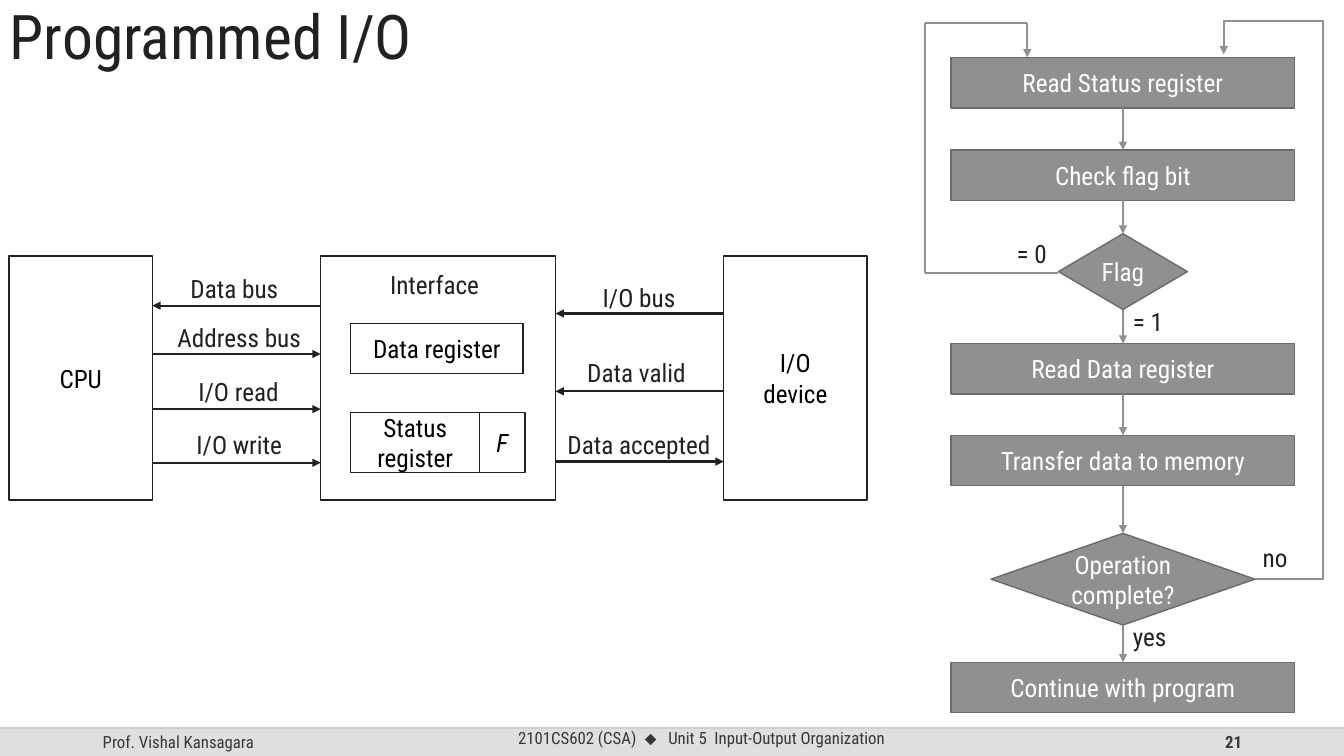
from dataclasses import dataclass
from itertools import pairwise

from lxml.etree import SubElement
from pptx import Presentation
from pptx.dml.color import RGBColor
from pptx.enum.shapes import MSO_CONNECTOR as Link, MSO_SHAPE as Preset
from pptx.enum.text import MSO_ANCHOR as Anchor, PP_ALIGN as Align
from pptx.oxml.ns import qn
from pptx.util import Cm, Pt

FONT = "Roboto Condensed"
COLORS = {
    "ink": "212121", "black": "000000", "white": "FFFFFF", "step": "909090",
    "step_edge": "6B6B6B", "band": "DFDFDF", "band_edge": "BFBFBF", "footer": "373737",
}
SLIDE_W, SLIDE_H = 33.87, 19.05
FOOTER_TOP = 18.34
FLOW_X = 28.3  # centre line of the flowchart


@dataclass(frozen=True)
class Block:
    text: str
    left: float
    top: float
    width: float
    height: float
    italic: bool = False


@dataclass(frozen=True)
class Label:
    text: str
    left: float
    top: float
    width: float
    height: float = 1.02


@dataclass(frozen=True)
class Signal:
    start: float
    end: float
    y: float
    label: Label


@dataclass(frozen=True)
class Step:
    text: str
    top: float
    width: float = 8.66
    height: float = 1.27
    preset: Preset = Preset.RECTANGLE

    @property
    def left(self) -> float:
        return FLOW_X - self.width / 2

    @property
    def bottom(self) -> float:
        return self.top + self.height

    @property
    def middle(self) -> float:
        return self.top + self.height / 2


CPU_RIGHT, INTERFACE_LEFT, INTERFACE_RIGHT, DEVICE_LEFT = 3.84, 8.08, 14.0, 18.24

BLOCKS = [
    Block("CPU", 0.23, 6.45, 3.61, 6.15),
    Block("", INTERFACE_LEFT, 6.45, 5.92, 6.15),
    Block("Data register", 8.84, 8.15, 4.34, 1.27),
    Block("Status register", 8.84, 10.39, 3.25, 1.52),
    Block("F", 12.09, 10.39, 1.14, 1.52, italic=True),
    Block("I/O\ndevice", DEVICE_LEFT, 6.45, 3.61, 6.15),
]
SIGNALS = [
    Signal(INTERFACE_LEFT, CPU_RIGHT, 7.7, Label("Data bus", 4.55, 6.76, 2.97, 1.07)),
    Signal(CPU_RIGHT, INTERFACE_LEFT, 8.92, Label("Address bus", 4.22, 8.0, 3.94, 1.12)),
    Signal(CPU_RIGHT, INTERFACE_LEFT, 10.31, Label("I/O read", 4.75, 9.37, 2.69)),
    Signal(CPU_RIGHT, INTERFACE_LEFT, 11.66, Label("I/O write", 4.7, 10.69, 2.97)),
    Signal(DEVICE_LEFT, INTERFACE_RIGHT, 7.9, Label("I/O bus", 14.94, 6.99, 2.44, 1.07)),
    Signal(DEVICE_LEFT, INTERFACE_RIGHT, 9.86, Label("Data valid", 14.55, 8.89, 3.25)),
    Signal(INTERFACE_RIGHT, DEVICE_LEFT, 11.63, Label("Data accepted", 14.05, 10.69, 4.34, 0.91)),
]
FLAG = Step("Flag", 5.89, 3.25, 1.91, Preset.DIAMOND)
COMPLETE = Step("Operation complete?", 13.44, 6.65, 2.31, Preset.DIAMOND)
STEPS = [
    Step("Read Status register", 1.45),
    Step("Check flag bit", 3.78),
    FLAG,
    Step("Read Data register", 8.66),
    Step("Transfer data to memory", 10.97),
    COMPLETE,
    Step("Continue with program", 16.69),
]
LABELS = [
    Label("Interface", 9.58, 6.65, 2.87),
    Label("= 0", 25.37, 5.89, 1.4),
    Label("= 1", FLOW_X, 7.59, 1.4),
    Label("yes", FLOW_X, 15.54, 1.4),
    Label("no", 31.57, 13.54, 1.4),
]


def rgb(color: str) -> RGBColor:
    return RGBColor.from_string(COLORS[color])


def write(frame, text: str, *, size: float = 18, color: str = "ink", align=Align.LEFT,
          anchor=Anchor.TOP, bold: bool = False, italic: bool = False, spacing: float = 1.0):
    frame.word_wrap = True
    frame.vertical_anchor = anchor
    frame.text = text
    for paragraph in frame.paragraphs:
        paragraph.alignment = align
        paragraph.line_spacing = spacing
        for run in paragraph.runs:
            run.font.name, run.font.size = FONT, Pt(size)
            run.font.bold, run.font.italic = bold, italic
            run.font.color.rgb = rgb(color)
    return frame


def add_text(slide, left: float, top: float, width: float, height: float, text: str, **style):
    box = slide.shapes.add_textbox(Cm(left), Cm(top), Cm(width), Cm(height))
    return write(box.text_frame, text, **style)


def add_box(slide, preset: Preset, left: float, top: float, width: float, height: float,
            fill: str = "", edge: str = ""):
    box = slide.shapes.add_shape(preset, Cm(left), Cm(top), Cm(width), Cm(height))
    box.shadow.inherit = False
    if fill:
        box.fill.solid()
        box.fill.fore_color.rgb = rgb(fill)
    else:
        box.fill.background()
    if edge:
        box.line.color.rgb = rgb(edge)
        box.line.width = Pt(1)
    else:
        box.line.fill.background()
    return box


def add_line(slide, x1: float, y1: float, x2: float, y2: float, color: str = "step",
             width: float = 1.5, arrow: bool = False, kind: Link = Link.STRAIGHT):
    line = slide.shapes.add_connector(kind, Cm(x1), Cm(y1), Cm(x2), Cm(y2))
    line.line.color.rgb = rgb(color)
    line.line.width = Pt(width)
    properties = line._element.spPr
    if arrow:
        SubElement(properties.find(qn("a:ln")), qn("a:tailEnd"), type="triangle")
    SubElement(properties, qn("a:effectLst"))
    return line


def add_footer(slide) -> None:
    height = SLIDE_H - FOOTER_TOP
    add_box(slide, Preset.RECTANGLE, 0, FOOTER_TOP, SLIDE_W, height, fill="band")
    style = dict(size=12, color="footer")
    add_text(slide, 2.34, FOOTER_TOP, 7.62, height, "Prof. Vishal Kansagara",
             anchor=Anchor.MIDDLE, **style)
    course = add_text(slide, 11.23, FOOTER_TOP, 12.9, 1.02, "2101CS602 (CSA)",
                      align=Align.CENTER, **style)
    course.margin_top = 0
    for text, font in ((" ⬥ ", "Arial"), ("Unit 5  Input-Output Organization", FONT)):
        run = course.paragraphs[0].add_run()
        run.text = text
        run.font.name, run.font.size = font, Pt(12)
        run.font.color.rgb = rgb("footer")
        if font != FONT:
            run.font._element.set("spc", "250")
    add_text(slide, 23.93, FOOTER_TOP, 7.62, height, "21", bold=True,
             align=Align.RIGHT, anchor=Anchor.MIDDLE, **style)
    rule = add_line(slide, 0, FOOTER_TOP, SLIDE_W, FOOTER_TOP, "band_edge", 1)
    tint = next(rule._element.iter(qn("a:srgbClr")))
    SubElement(tint, qn("a:alpha"), val="70000")


def add_interface_diagram(slide) -> None:
    for block in BLOCKS:
        box = add_box(slide, Preset.RECTANGLE, block.left, block.top, block.width,
                      block.height, edge="ink")
        write(box.text_frame, block.text, color="black", align=Align.CENTER,
              anchor=Anchor.MIDDLE, italic=block.italic)
    for signal in SIGNALS:
        add_line(slide, signal.start, signal.y, signal.end, signal.y, "ink", arrow=True)


def add_flowchart(slide) -> None:
    for step in STEPS:
        box = add_box(slide, step.preset, step.left, step.top, step.width, step.height,
                      fill="step", edge="step_edge")
        write(box.text_frame, step.text, color="white", align=Align.CENTER, anchor=Anchor.MIDDLE)
    for upper, lower in pairwise(STEPS):
        add_line(slide, FLOW_X, upper.bottom, FLOW_X, lower.top, arrow=True)

    # Flag = 0: back to the first step on the left
    loop_x, loop_y, entry_x = 23.32, 0.58, 25.89
    corners = [(FLAG.left, 6.89), (loop_x, 6.89), (loop_x, loop_y),
               (entry_x, loop_y), (entry_x, STEPS[0].top)]
    for start, end in pairwise(corners):
        add_line(slide, *start, *end, arrow=end == corners[-1])

    # Not complete: back to the first step on the right
    x1, y1, x2, y2 = COMPLETE.left + COMPLETE.width, COMPLETE.middle, 30.84, 1.37
    turn_x, turn_y = 33.35, 0.53
    loop = add_line(slide, x1, y1, x2, y2, arrow=True, kind=Link.ELBOW)
    geometry = loop._element.spPr.find(qn("a:prstGeom"))
    geometry.set("prst", "bentConnector4")
    guides = geometry.get_or_add_avLst()
    turns = ((turn_x - x1) / (x2 - x1), (turn_y - y1) / (y2 - y1))
    for number, turn in enumerate(turns, 1):
        SubElement(guides, qn("a:gd"), name=f"adj{number}", fmla=f"val {round(turn * 100000)}")


def main() -> None:
    deck = Presentation()
    deck.slide_width, deck.slide_height = Cm(SLIDE_W), Cm(SLIDE_H)
    slide = deck.slides.add_slide(deck.slide_layouts[6])
    add_footer(slide)
    add_text(slide, 0, 0, 12.12, 1.98, "Programmed I/O", size=44, anchor=Anchor.MIDDLE, spacing=0.9)
    add_interface_diagram(slide)
    add_flowchart(slide)
    for label in LABELS + [signal.label for signal in SIGNALS]:
        add_text(slide, label.left, label.top, label.width, label.height, label.text)
    deck.save("out.pptx")


if __name__ == "__main__":
    main()
